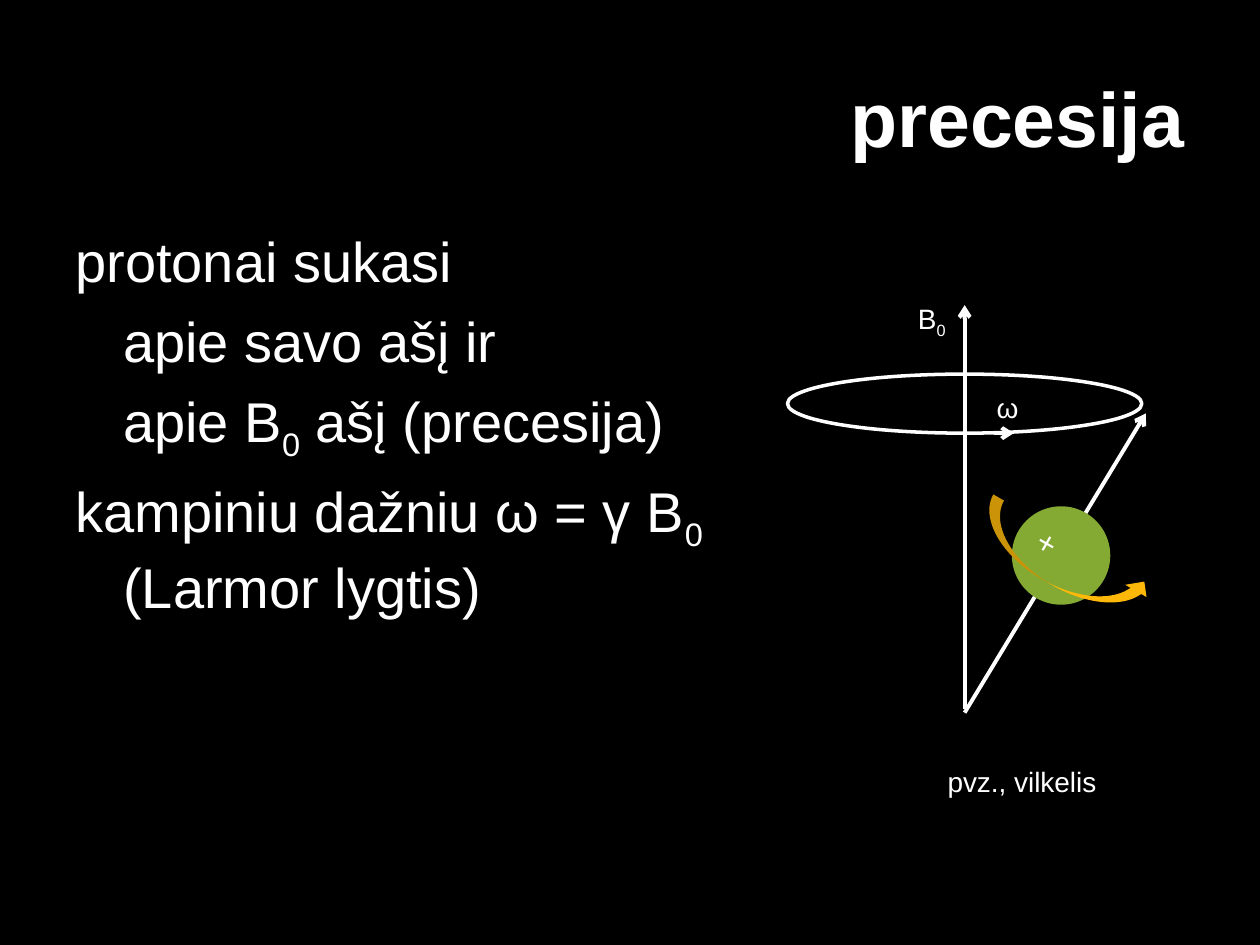
"""Build a slide on the precession of protons around the field axis."""
import pptx
import pptx.chart.data
import pptx.dml.color
import pptx.enum.shapes
import pptx.enum.text
import pptx.oxml
import pptx.oxml.ns
import pptx.util

THEME = {
    "font": "Arial",
    "background": "000000",
    "ink": "FFFFFF",
    "proton": "84AA33",
    "spin": "FEB80A",
    "title": 44,
    "body": 32,
    "label": 16,
    "plus": 18,
    "axis": 2.25,
    "orbit": 2,
}
SHAPES = pptx.enum.shapes.MSO_SHAPE
ALIGN = pptx.enum.text.PP_ALIGN
ANCHOR = pptx.enum.text.MSO_ANCHOR
HANGING = 0.38

presentation = pptx.Presentation()
presentation.slide_width = pptx.util.Inches(10)
presentation.slide_height = pptx.util.Inches(7.5)
slide = presentation.slides.add_slide(presentation.slide_layouts[6])
column = presentation.slide_width / 32
row = presentation.slide_height / 24


def color(name):
    return pptx.dml.color.RGBColor.from_string(THEME[name])


def place(left, top, width, height):
    return [round(left * column), round(top * row), round(width * column), round(height * row)]


slide.background.fill.solid()
slide.background.fill.fore_color.rgb = color("background")

# fmt: off
arrows = [(24.5, 18.1, 29.1, 10.5), (24.5, 18, 24.5, 7.75), (25.25, 11, 25.75, 11)]
shapes = [
    (SHAPES.OVAL, (25.7, 12.86, 2.5, 2.5), 30, "proton"),
    (SHAPES.CURVED_UP_ARROW, (24.6, 13.66, 4.74, 1.25), 30, "spin"),
    (SHAPES.OVAL, (20, 9.5, 9, 1.5), 0, None),
]
body = [
    (HANGING, -HANGING, ["protonai sukasi"]),
    (HANGING, 0, ["apie savo ašį ir"]),
    (HANGING, 0, ["apie B", "0", " ašį (precesija)"]),
    (HANGING, -HANGING, ["kampiniu dažniu ω = γ B", "0", " (Larmor lygtis)"]),
]
texts = [
    ("title", (1.6, 0.96, 28.8, 4), 0, [(0, 0, ["precesija"])], {"bold": True}, ALIGN.RIGHT, ANCHOR.MIDDLE),
    ("body", (1.6, 5.6, 16.9, 11.65), 0, body, {}, ALIGN.LEFT, ANCHOR.TOP),
    ("plus", (26.05, 13.18, 1.25, 1.28), 30, [(0, 0, ["+"])], {}, ALIGN.LEFT, ANCHOR.TOP),
    ("label", (23, 7.5, 2, 1.25), 0, [(HANGING, -HANGING, ["B", "0"])], {}, ALIGN.LEFT, ANCHOR.TOP),
    ("label", (25, 9.75, 1.25, 1.25), 0, [(HANGING, -HANGING, ["ω"])], {}, ALIGN.LEFT, ANCHOR.TOP),
    ("label", (23.75, 19.25, 4.5, 1.5), 0, [(0, 0, ["pvz., vilkelis"])], {}, ALIGN.LEFT, ANCHOR.TOP),
]
# fmt: on

for ends in arrows:
    connector = slide.shapes.add_connector(
        pptx.enum.shapes.MSO_CONNECTOR.STRAIGHT, *place(*ends)
    )
    connector.line.color.rgb = color("ink")
    connector.line.width = pptx.util.Pt(THEME["axis"])
    head = pptx.oxml.parse_xml(
        f'<a:tailEnd {pptx.oxml.ns.nsdecls("a")} type="arrow"/>'
    )
    connector.line._get_or_add_ln().append(head)
    effects = pptx.oxml.parse_xml(f'<a:effectLst {pptx.oxml.ns.nsdecls("a")}/>')
    connector._element.spPr.append(effects)

for preset, box, rotation, fill in shapes:
    shape = slide.shapes.add_shape(preset, *place(*box))
    shape.rotation = rotation
    shape.shadow.inherit = False
    if fill:
        shape.fill.solid()
        shape.fill.fore_color.rgb = color(fill)
        shape.line.fill.background()
    else:
        shape.fill.background()
        shape.line.color.rgb = color("ink")
        shape.line.width = pptx.util.Pt(THEME["orbit"])

for role, box, rotation, paragraphs, extra, alignment, anchor in texts:
    textbox = slide.shapes.add_textbox(*place(*box))
    textbox.rotation = rotation
    frame = textbox.text_frame
    frame.word_wrap = True
    frame.vertical_anchor = anchor
    spacing = 0.23 * THEME[role] if role in ("body", "label") else 0
    for index, (margin, indent, pieces) in enumerate(paragraphs):
        paragraph = frame.add_paragraph() if index else frame.paragraphs[0]
        paragraph.alignment = alignment
        paragraph.space_before = pptx.util.Pt(spacing)
        properties = paragraph._p.get_or_add_pPr()
        properties.set("marL", str(pptx.util.Inches(margin)))
        properties.set("indent", str(pptx.util.Inches(indent)))
        for piece in pieces:
            run = paragraph.add_run()
            run.text = piece
            run.font.color.rgb = color("ink")
            formats = {"name": THEME["font"], "size": pptx.util.Pt(THEME[role]), **extra}
            for attribute, value in formats.items():
                setattr(run.font, attribute, value)
            if piece == "0":
                run.font._element.set("baseline", "-25000")

presentation.save("out.pptx")
